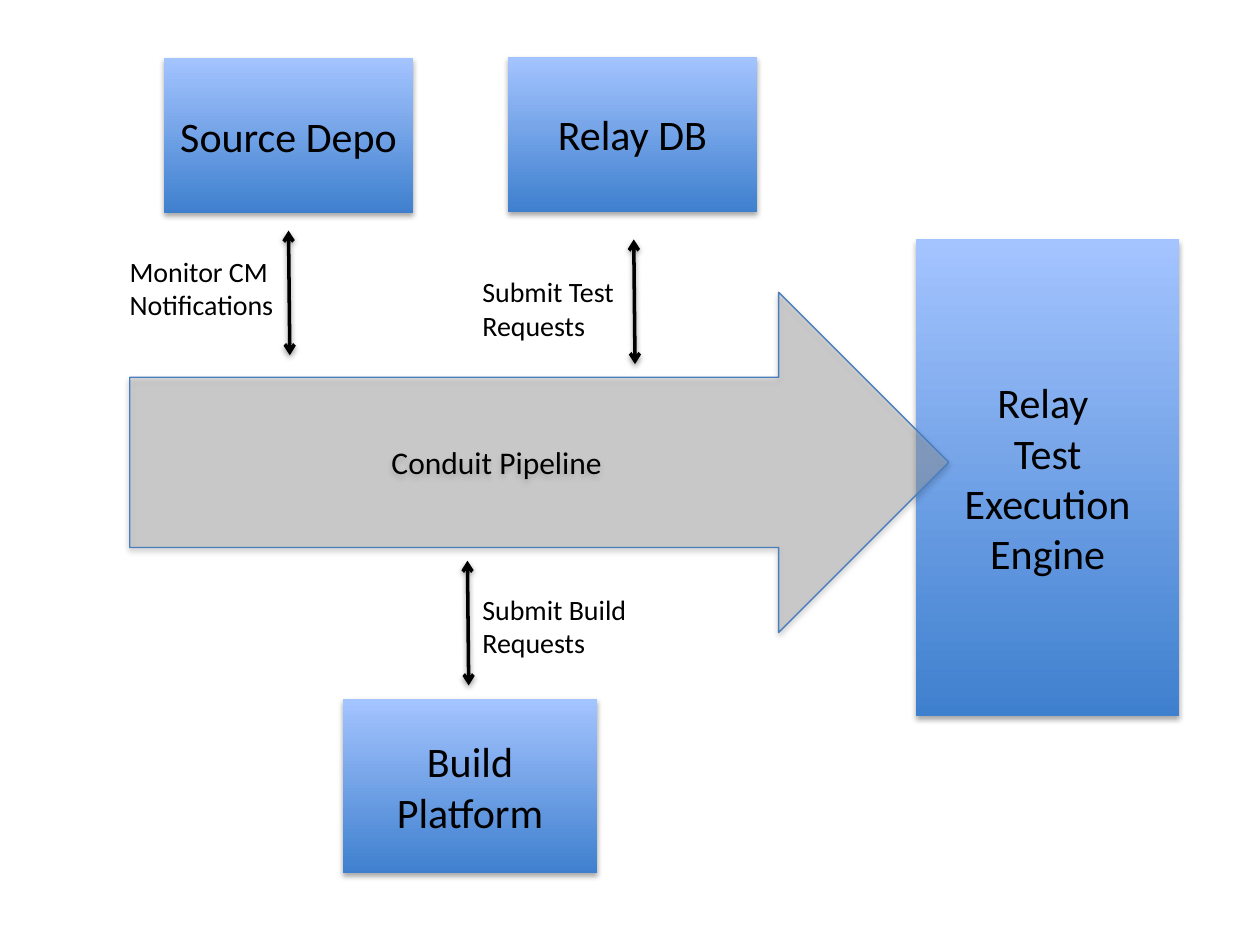
from lxml import etree
from pptx import Presentation
from pptx.dml.color import RGBColor
from pptx.enum.shapes import MSO_CONNECTOR, MSO_SHAPE
from pptx.enum.text import MSO_ANCHOR, MSO_AUTO_SIZE, PP_ALIGN
from pptx.oxml.ns import qn
from pptx.util import Inches, Pt

RECTANGLE = MSO_SHAPE.RECTANGLE
RIGHT_ARROW = MSO_SHAPE.RIGHT_ARROW
STRAIGHT = MSO_CONNECTOR.STRAIGHT
CENTER = PP_ALIGN.CENTER
MIDDLE = MSO_ANCHOR.MIDDLE
FIT_SHAPE = MSO_AUTO_SIZE.SHAPE_TO_FIT_TEXT
NO_FIT = MSO_AUTO_SIZE.NONE

FONT = "Calibri"
COLORS = {
    "text": "000000",
    "box_bottom": "3F80CE",
    "box_top": "A4C4FF",
    "pipeline": "A6A6A6",
    "outline": "4B7EBC",
}
TITLE_BOX = (1.3, 0.46, 1.98, 1.23)
SYSTEMS = [
    ("Build Platform", (2.72, 5.55, 2.02, 1.38)),
    ("Relay DB", (4.03, 0.45, 1.98, 1.23)),
    ("Relay \nTest Execution\nEngine", (7.27, 1.9, 2.09, 3.78)),
]
PIPELINE_BOX = (1.03, 2.32, 6.5, 2.7)
LINK_SIZE = (0.01, 0.99)
LINKS = [(2.29, 1.83), (5.03, 1.9), (3.71, 4.45)]
LABEL_SIZE = (1.59, 0.64)
LABELS = [
    ("Monitor CM Notifications", (0.93, 1.97)),
    ("Submit Test Requests", (3.73, 2.13)),
    ("Submit Build Requests", (3.73, 4.65)),
]


def color(name):
    return RGBColor.from_string(COLORS[name])


def lengths(box):
    return [Inches(value) for value in box]


def add_shadow(properties, distance, opacity):
    effects = properties.find(qn("a:effectLst"))
    if effects is None:
        effects = etree.SubElement(properties, qn("a:effectLst"))
    shadow = etree.SubElement(
        effects, qn("a:outerShdw"), blurRad=str(Pt(3.15)),
        dist=str(Pt(distance)), dir="5400000", rotWithShape="0")
    shade = etree.SubElement(shadow, qn("a:srgbClr"), val=COLORS["text"])
    etree.SubElement(shade, qn("a:alpha"), val=str(opacity * 1000))


def write_text(shape, text, size, alignment=None):
    frame = shape.text_frame
    frame.word_wrap = True
    frame.text = text
    for paragraph in frame.paragraphs:
        paragraph.alignment = alignment
        for run in paragraph.runs:
            run.font.name = FONT
            run.font.size = Pt(size)
            run.font.color.rgb = color("text")


def format_block(shape, text, size):
    write_text(shape, text, size, CENTER)
    shape.text_frame.auto_size = NO_FIT
    shape.text_frame.vertical_anchor = MIDDLE
    shape.shadow.inherit = False
    add_shadow(shape.element.spPr, 1.8, 35)


def format_system(shape, text):
    shape.fill.gradient()
    shape.fill.gradient_angle = 90
    for stop, name in zip(shape.fill.gradient_stops, ("box_bottom", "box_top")):
        stop.color.rgb = color(name)
    shape.line.fill.background()
    format_block(shape, text, 24)


def place_title(slide, text, box):
    title = slide.shapes.title
    title.left, title.top, title.width, title.height = lengths(box)
    format_system(title, text)


def add_system(slide, text, box):
    format_system(slide.shapes.add_shape(RECTANGLE, *lengths(box)), text)


def add_pipeline(slide, text, box):
    arrow = slide.shapes.add_shape(RIGHT_ARROW, *lengths(box))
    arrow.fill.solid()
    arrow.fill.fore_color.rgb = color("pipeline")
    fill_color = arrow.element.spPr.find(qn("a:solidFill")).find(qn("a:srgbClr"))
    etree.SubElement(fill_color, qn("a:alpha"), val="38000")
    arrow.line.color.rgb = color("outline")
    arrow.line.width = Pt(0.75)
    format_block(arrow, text, 18)


def add_link(slide, box):
    left, top, width, height = lengths(box)
    link = slide.shapes.add_connector(STRAIGHT, left, top, left + width, top + height)
    link.line.color.rgb = color("text")
    link.line.width = Pt(2)
    properties = link.element.spPr
    line = properties.find(qn("a:ln"))
    for end in ("a:headEnd", "a:tailEnd"):
        etree.SubElement(line, qn(end), type="arrow")
    add_shadow(properties, 1.6, 38)


def add_label(slide, text, box):
    label = slide.shapes.add_textbox(*lengths(box))
    write_text(label, text, 16)
    label.text_frame.auto_size = FIT_SHAPE


def main():
    presentation = Presentation()
    presentation.slide_width = Inches(10)
    presentation.slide_height = Inches(7.5)
    slide = presentation.slides.add_slide(presentation.slide_layouts[5])
    place_title(slide, "Source Depo", TITLE_BOX)
    for text, box in SYSTEMS:
        add_system(slide, text, box)
    add_pipeline(slide, "Conduit Pipeline", PIPELINE_BOX)
    for position in LINKS:
        add_link(slide, position + LINK_SIZE)
    for text, position in LABELS:
        add_label(slide, text, position + LABEL_SIZE)
    presentation.save("out.pptx")


if __name__ == "__main__":
    main()
